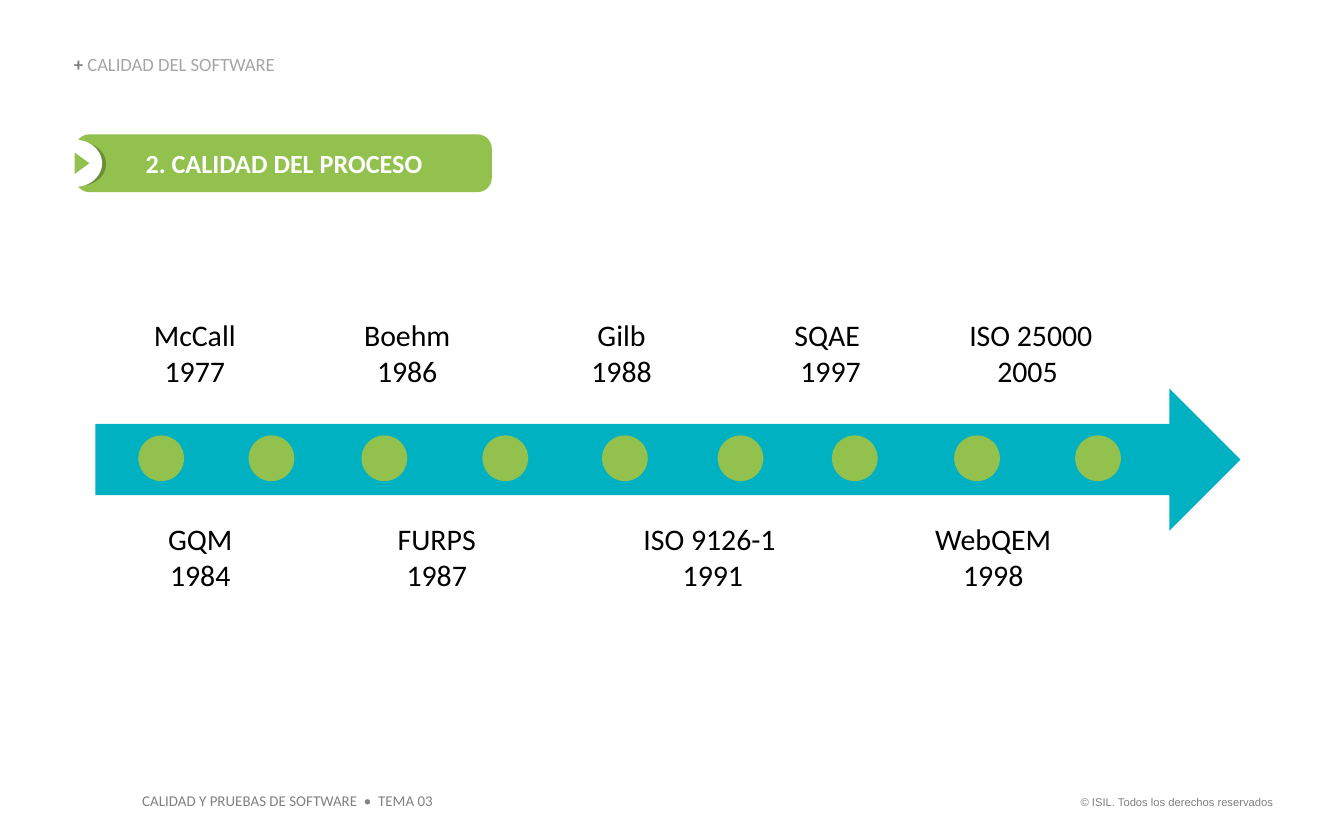
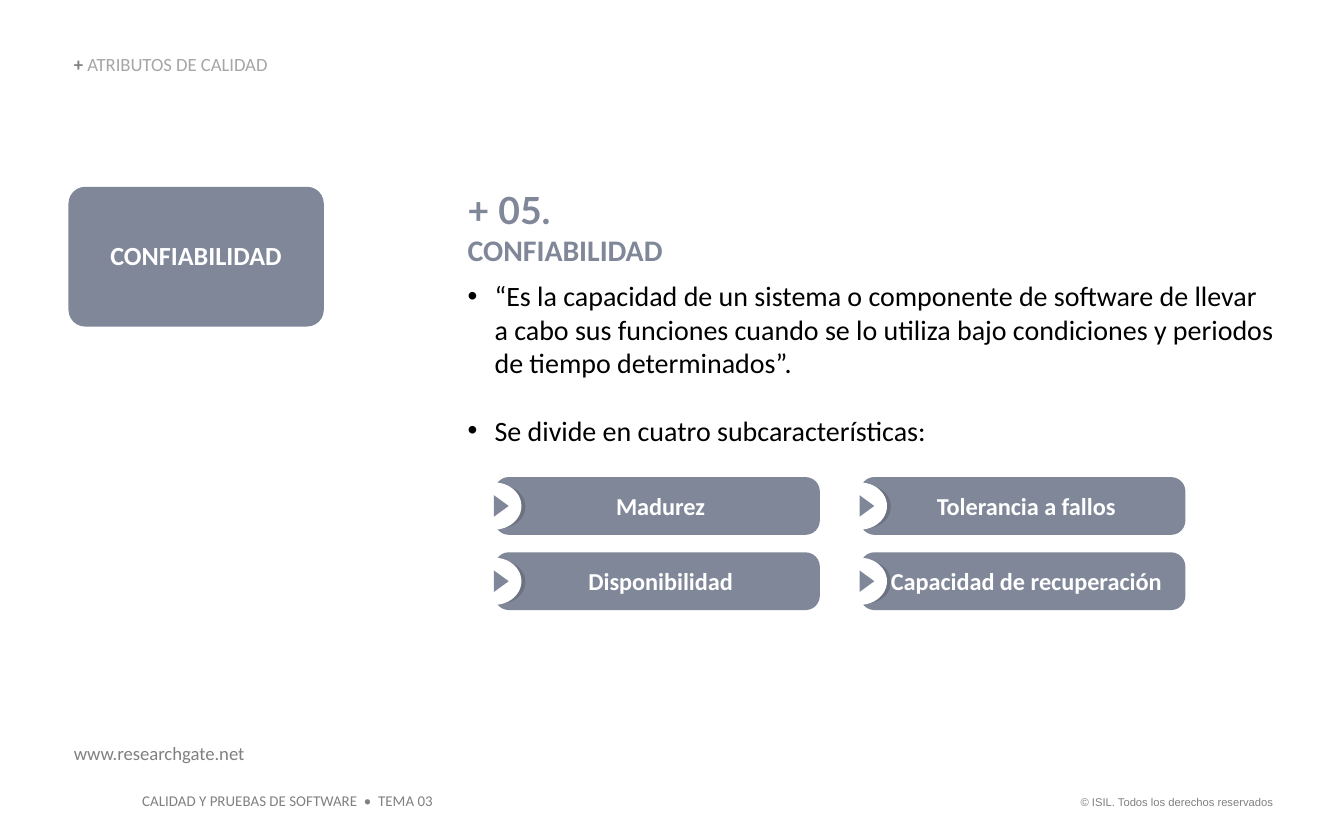
from lxml import etree
from pptx import Presentation
from pptx.dml.color import RGBColor
from pptx.enum.shapes import MSO_SHAPE
from pptx.enum.text import MSO_ANCHOR, MSO_AUTO_SIZE, PP_ALIGN
from pptx.oxml.ns import qn
from pptx.util import Pt

PX = 9144
ROUND, OVAL = MSO_SHAPE.ROUNDED_RECTANGLE, MSO_SHAPE.OVAL
ARROW, WEDGE = MSO_SHAPE.RIGHT_ARROW, MSO_SHAPE.ISOSCELES_TRIANGLE
TOP, MIDDLE, BOTTOM = MSO_ANCHOR.TOP, MSO_ANCHOR.MIDDLE, MSO_ANCHOR.BOTTOM
LEFT, CENTER, RIGHT = PP_ALIGN.LEFT, PP_ALIGN.CENTER, PP_ALIGN.RIGHT
GROW = MSO_AUTO_SIZE.SHAPE_TO_FIT_TEXT
HEX = {
    "green": "92C14E", "moss": "6A8F3A", "teal": "00B1C2",
    "slate": "808799", "dusk": "6C7281", "gray": "808080",
    "pale": "A6A6A6", "white": "FFFFFF", "black": "000000",
}


def color(name):
    """Turn a palette name into a colour."""
    return RGBColor.from_string(HEX[name])


def indent(para, left, hang=0, mark=None):
    """Indent a paragraph and give it a bullet if asked."""
    props = para._p.get_or_add_pPr()
    props.set("marL", str(left * PX))
    props.set("indent", str(-hang * PX))
    if mark:
        tint = etree.SubElement(props, qn("a:buClr"))
        etree.SubElement(tint, qn("a:srgbClr"), val=HEX["black"])
        etree.SubElement(props, qn("a:buFont"), typeface="Arial")
        etree.SubElement(props, qn("a:buChar"), char=mark)


def write(para, text, size=16, tint="black", bold=False, font="Calibri",
          align=LEFT, line=None, before=None, after=None):
    """Add a formatted run to a paragraph."""
    para.alignment = align
    if line:
        para.line_spacing = line
    if before:
        para.space_before = Pt(before)
    if after:
        para.space_after = Pt(after)
    run = para.add_run()
    run.text = text
    run.font.size, run.font.bold, run.font.name = Pt(size), bold, font
    run.font.color.rgb = color(tint)


class Deck:
    """Hold the shared style and the current slide."""

    def __init__(self):
        """Start an empty deck."""
        self.file = Presentation()
        self.file.slide_width, self.file.slide_height = 1000 * PX, 625 * PX
        self.slide = None

    def page(self, head):
        """Add a slide with its footers and heading."""
        self.slide = self.file.slides.add_slide(self.file.slide_layouts[6])
        mark = self.box(788, 587, 169, 20, inset=None, wrap=False)
        write(mark.paragraphs[0], "© ISIL. Todos los derechos reservados",
              size=6, tint="gray", font="Arial", align=RIGHT)
        foot = self.box(96, 584, 237, 24, inset=None, wrap=False)
        write(foot.paragraphs[0], "CALIDAD Y PRUEBAS DE SOFTWARE  •  TEMA 03",
              size=8, tint="gray")
        para = self.box(55, 41, 361, 15, anchor=BOTTOM).paragraphs[0]
        write(para, "+ ", size=10, tint="gray", bold=True, line=0.9)
        write(para, head, size=10, tint="pale", line=0.9)

    def box(self, x, y, w, h, anchor=TOP, inset=0, wrap=True):
        """Add a text box and return its frame."""
        shape = self.slide.shapes.add_textbox(x * PX, y * PX, w * PX, h * PX)
        frame = shape.text_frame
        frame.word_wrap, frame.auto_size = wrap, GROW
        frame.vertical_anchor = anchor
        if inset is not None:
            frame.margin_left = frame.margin_right = inset * PX
            frame.margin_top = frame.margin_bottom = inset * PX
        return frame

    def shape(self, kind, x, y, w, h, fill, bend=None, home=None):
        """Add a plain filled shape to the slide or a group."""
        home = home or self.slide
        shape = home.shapes.add_shape(kind, x * PX, y * PX, w * PX, h * PX)
        shape.shadow.inherit = False
        shape.fill.solid()
        shape.fill.fore_color.rgb = color(fill)
        shape.line.fill.background()
        if bend:
            shape.adjustments[0] = bend
        return shape

    def card(self, x, y, w, h, text, fill, bend, size=14, left=0, line=None,
             home=None):
        """Add a rounded card with a bold white label."""
        card = self.shape(ROUND, x, y, w, h, fill, bend, home)
        frame = card.text_frame
        frame.word_wrap, frame.vertical_anchor = True, MIDDLE
        para = frame.paragraphs[0]
        indent(para, left)
        write(para, text, size=size, tint="white", bold=True, align=CENTER,
              line=line)

    def pill(self, x, y, w, text, fill, shade, size, left):
        """Add a grouped pill with a notch and a pointer."""
        home = self.slide.shapes.add_group_shape()
        self.card(x, y, w, 43, text, fill, 0.248, size, left, home=home)
        self.shape(OVAL, x - 14, y + 6, 37, 32, shade, home=home)
        self.shape(OVAL, x - 20, y + 4, 40, 35, "white", home=home)
        tip = self.shape(WEDGE, x - 3, y + 16, 16, 11, fill, home=home)
        tip.rotation = 90

    def label(self, x, y, w, lines, anchor):
        """Add a centred model name above its year."""
        frame = self.box(x, y, w, 54, anchor)
        write(frame.paragraphs[0], lines[0], align=CENTER)
        write(frame.add_paragraph(), lines[1], align=CENTER)


def history(deck):
    """Build the timeline of quality models."""
    deck.page("CALIDAD DEL SOFTWARE")
    deck.shape(ARROW, 71, 289, 852, 106, "teal")
    for x in (103, 185, 269, 359, 448, 534, 619, 710, 800):
        deck.shape(OVAL, x, 324, 34, 34, "green")
    for x, *lines in ((79, "GQM", "1984"), (255, "FURPS", "1987"),
                      (458, "ISO 9126-1", " 1991"), (669, "WebQEM", "1998")):
        deck.label(x, 387, 140, lines, MIDDLE)
    for x, w, *lines in ((95, 100, "McCall", "1977"),
                         (253, 100, "Boehm", "1986"),
                         (415, 100, "Gilb ", "1988 "),
                         (568, 100, "SQAE ", "1997"),
                         (707, 120, "ISO 25000", "2005 ")):
        deck.label(x, 236, w, lines, TOP)
    deck.pill(56, 100, 310, "2. CALIDAD DEL PROCESO", "green", "moss", 14, 1)


def trust(deck):
    """Build the reliability slide."""
    deck.page("ATRIBUTOS DE CALIDAD")
    link = deck.box(55, 552, 500, 17)
    write(link.paragraphs[0], "www.researchgate.net", size=10, tint="gray")
    frame = deck.box(348, 139, 601, 195)
    title = frame.paragraphs[0]
    write(title, "+ 05.", size=20, tint="slate", bold=True, font="Lato")
    title.add_line_break()
    write(title, "CONFIABILIDAD", tint="slate", bold=True, after=6)
    points = (
        "“Es la capacidad de un sistema o componente de software de llevar "
        "a cabo sus funciones cuando se lo utiliza bajo condiciones y "
        "periodos de tiempo determinados”.",
        "Se divide en cuatro subcaracterísticas:",
    )
    for text, gap in zip(points, (None, 18)):
        para = frame.add_paragraph()
        indent(para, 20, 20, "•")
        write(para, text, size=15, before=gap)
    deck.card(51, 139, 190, 104, "CONFIABILIDAD", "slate", 0.12, line=0.9)
    parts = ("Madurez", "Disponibilidad",
             "Tolerancia a fallos", "Capacidad de recuperación")
    for i, text in enumerate(parts):
        col, row = divmod(i, 2)
        deck.pill(368 + 272 * col, 355 + 56 * row, 242, text,
                  "slate", "dusk", 13, 5)


def main():
    """Build and save the deck."""
    deck = Deck()
    history(deck)
    trust(deck)
    deck.file.save("out.pptx")


if __name__ == "__main__":
    main()
